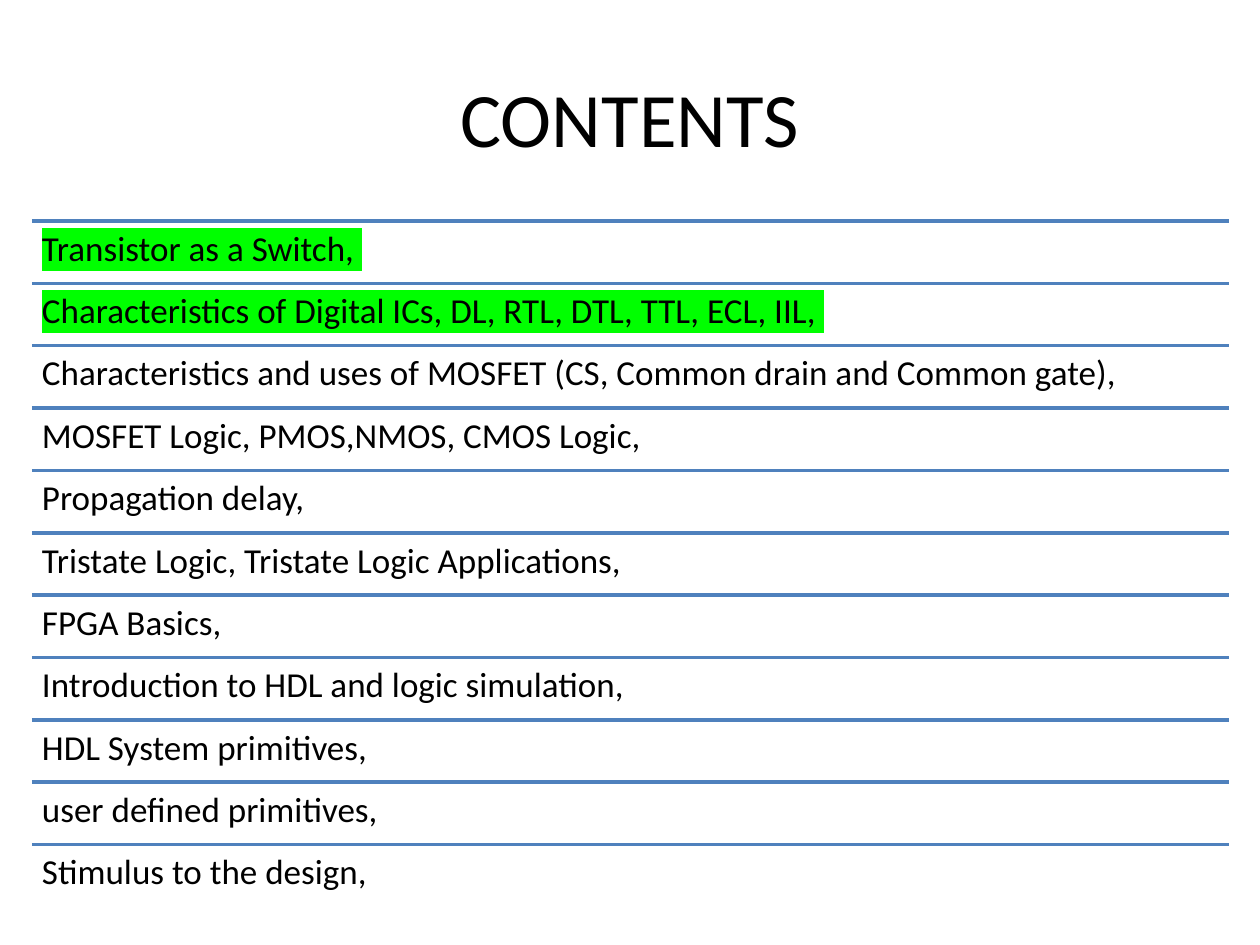
from dataclasses import dataclass

from lxml.etree import SubElement
from pptx import Presentation
from pptx.dml.color import RGBColor as Color
from pptx.enum.shapes import MSO_CONNECTOR as Connector
from pptx.enum.text import MSO_ANCHOR as Anchor, PP_ALIGN as Align
from pptx.oxml import parse_xml
from pptx.oxml.ns import nsdecls, qn
from pptx.util import Pt

EMU_PER_PX = 914400 / 126


@dataclass(frozen=True)
class Theme:
    font: str = "Calibri"
    text: str = "000000"
    rule: str = "4F81BD"
    highlight: str = "00FF00"
    title_size: int = 44
    topic_size: int = 20
    rule_width: int = 2


THEME = Theme()

PAGE_WIDTH, PAGE_HEIGHT = 1260, 945
LIST_LEFT, LIST_TOP, LIST_WIDTH, LIST_HEIGHT = 32, 221, 1197, 686
TOPIC_INSET = 10

# Topic and whether it is highlighted; the highlight runs over the final space
TOPICS = [
    ("Transistor as a Switch, ", True),
    ("Characteristics of Digital ICs, DL, RTL, DTL, TTL, ECL, IIL, ", True),
    ("Characteristics and uses of MOSFET (CS, Common drain and Common gate),", False),
    ("MOSFET Logic, PMOS,NMOS, CMOS Logic,", False),
    ("Propagation delay,", False),
    ("Tristate Logic, Tristate Logic Applications,", False),
    ("FPGA Basics,", False),
    ("Introduction to HDL and logic simulation,", False),
    ("HDL System primitives,", False),
    ("user defined primitives,", False),
    ("Stimulus to the design,", False),
]


def px(length):
    return round(length * EMU_PER_PX)


def apply_format(target, values):
    for name, value in values.items():
        setattr(target, name, value)


def write_text(frame, text, size, align):
    para = frame.paragraphs[0]
    para.alignment = align
    span = para.add_run()
    span.text = text
    apply_format(span.font, {"name": THEME.font, "size": Pt(size)})
    span.font.color.rgb = Color.from_string(THEME.text)
    return para, span


def highlight(span):
    """Put the marker colour right after the fill, where the schema wants it."""
    marker = parse_xml(
        f'<a:highlight {nsdecls("a")}><a:srgbClr val="{THEME.highlight}"/></a:highlight>'
    )
    span.font._element.find(qn("a:solidFill")).addnext(marker)


def add_title(page, text):
    title = page.shapes.title
    apply_format(title, {"left": px(63), "top": px(38),
                         "width": px(1134), "height": px(157)})
    title.text_frame.vertical_anchor = Anchor.MIDDLE
    write_text(title.text_frame, text, THEME.title_size, Align.CENTER)


def add_rule(shapes, top):
    rule = shapes.add_connector(Connector.STRAIGHT, px(LIST_LEFT), px(top),
                                px(LIST_LEFT + LIST_WIDTH), px(top))
    rule.line.color.rgb = Color.from_string(THEME.rule)
    rule.line.width = Pt(THEME.rule_width)
    SubElement(rule._element.spPr, qn("a:effectLst"))


def add_topic(shapes, text, marked, top, height):
    box = shapes.add_textbox(px(LIST_LEFT), px(top), px(LIST_WIDTH), px(height))
    frame = box.text_frame
    sides = ("left", "top", "right", "bottom")
    apply_format(frame, {f"margin_{side}": px(TOPIC_INSET) for side in sides})
    apply_format(frame, {"word_wrap": True, "vertical_anchor": Anchor.TOP})
    para, span = write_text(frame, text, THEME.topic_size, Align.LEFT)
    para.line_spacing = 0.9
    if marked:
        highlight(span)


def add_topic_list(page, topics):
    shapes = page.shapes.add_group_shape().shapes
    pitch = LIST_HEIGHT / len(topics)
    for index, (text, marked) in enumerate(topics):
        top = LIST_TOP + index * pitch
        add_rule(shapes, top)
        add_topic(shapes, text, marked, top, pitch)


def main():
    deck = Presentation()
    apply_format(deck, {"slide_width": px(PAGE_WIDTH), "slide_height": px(PAGE_HEIGHT)})
    page = deck.slides.add_slide(deck.slide_layouts.get_by_name("Title Only"))
    add_title(page, "CONTENTS")
    add_topic_list(page, TOPICS)
    deck.save("out.pptx")


if __name__ == "__main__":
    main()
